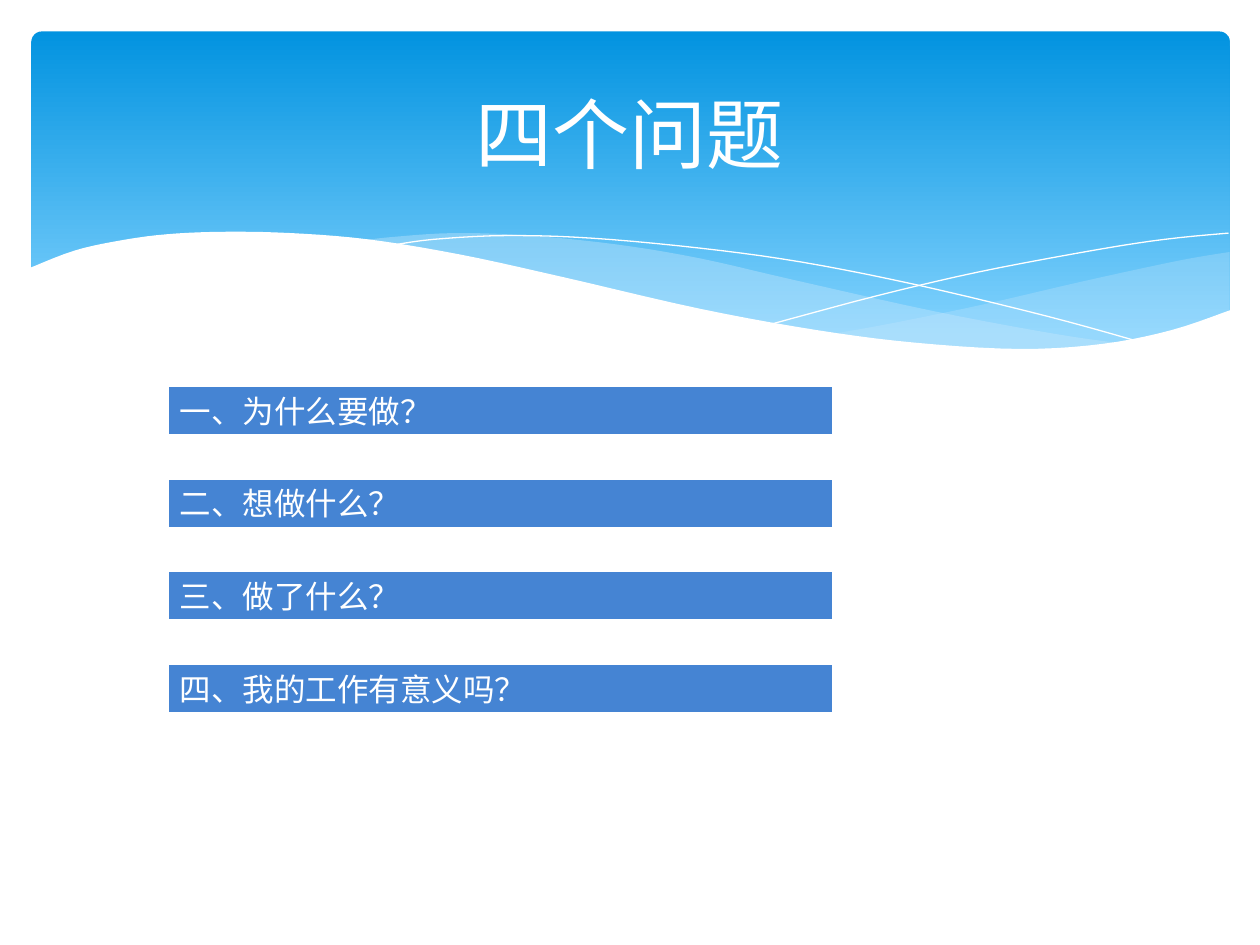
from pptx import Presentation
from pptx.dml.color import RGBColor
from pptx.enum.shapes import MSO_SHAPE as Shape
from pptx.enum.text import MSO_ANCHOR as Anchor, MSO_AUTO_SIZE as Fit, PP_ALIGN as Align
from pptx.oxml.ns import qn
from pptx.util import Inches, Pt
from lxml import etree

WHITE, PALE, BLUE = "FFFFFF", "C6E7FC", "4584D3"
FONT = "Calibri"
ITEMS = ["一、为什么要做？", "二、想做什么？", "三、做了什么？", "四、我的工作有意义吗？"]

# Knots of the wave edges, in inches
CREST = [(9.77, 2.46), (9.3, 2.62), (8.75, 2.73), (8.09, 2.77), (7.26, 2.72),
         (6.48, 2.62), (5.55, 2.45), (4.47, 2.2), (3.65, 2.02), (2.92, 1.9),
         (2.3, 1.85), (1.77, 1.84), (1.32, 1.86), (0.95, 1.91), (0.59, 1.99),
         (0.23, 2.13)]
RIGHT_TOP = [(9.76, 2), (9.35, 2.07), (8.61, 2.23), (7.79, 2.42), (7.06, 2.57), (6.61, 2.65)]
RIGHT_LOW = [(6.61, 2.65), (7.19, 2.72), (7.69, 2.77), (8.14, 2.78), (8.63, 2.75),
             (9.13, 2.67), (9.49, 2.57), (9.76, 2.47)]
MID_TOP = [(8.93, 2.73), (8.37, 2.65), (7.41, 2.47), (6.29, 2.22), (5.55, 2.05),
           (4.89, 1.94), (4.2, 1.87), (3.61, 1.85), (3.13, 1.88), (2.86, 1.91)]
MID_LOW = [(2.86, 1.91), (3.62, 2.03), (4.49, 2.22), (5.66, 2.48), (6.5, 2.64),
           (7.22, 2.74), (7.85, 2.78), (8.38, 2.78), (8.93, 2.73)]
FALLING = [(3.09, 1.95), (3.44, 1.9), (4.01, 1.87), (4.69, 1.89), (5.56, 1.97),
           (6.36, 2.08), (7.27, 2.26), (8.31, 2.51), (9.07, 2.72)]
RISING = [(6.13, 2.57), (6.95, 2.35), (7.76, 2.16), (8.66, 1.99), (9.24, 1.9), (9.75, 1.85)]


def color(code):
    return RGBColor.from_string(code)


def smooth(knots, steps=5):
    """Trace a Catmull-Rom curve through the knots."""
    ends = [knots[0], *knots, knots[-1]]
    curve = [knots[0]]
    for a, b, c, d in zip(ends, ends[1:], ends[2:], ends[3:]):
        for step in range(1, steps + 1):
            t = step / steps
            curve.append(tuple(
                q + t / 2 * (r - p + t * (2 * p - 5 * q + 4 * r - s + t * (3 * (q - r) + s - p)))
                for p, q, r, s in zip(a, b, c, d)))
    return curve


def add_free(slide, points, closed):
    spots = [(Inches(x), Inches(y)) for x, y in points]
    pen = slide.shapes.build_freeform(*spots[0], scale=1.0)
    pen.add_line_segments(spots[1:], close=closed)
    shape = pen.convert_to_shape()
    shape.shadow.inherit = False
    return shape


def add_wave(slide, points, fill, alpha=100):
    wave = add_free(slide, points, True)
    wave.fill.solid()
    wave.fill.fore_color.rgb = color(fill)
    wave.line.fill.background()
    if alpha < 100:
        tone = wave.fill._xPr.find(qn("a:solidFill"))[0]
        etree.SubElement(tone, qn("a:alpha")).set("val", str(alpha * 1000))


def add_curve(slide, knots):
    curve = add_free(slide, smooth(knots), False)
    curve.fill.background()
    curve.line.color.rgb = color(WHITE)
    curve.line.width = Pt(0)


def add_panel(slide):
    panel = slide.shapes.add_shape(
        Shape.ROUNDED_RECTANGLE, Inches(0.25), Inches(0.25), Inches(9.51), Inches(2.7))
    panel.adjustments[0] = 0.03
    panel.shadow.inherit = False
    panel.line.fill.background()
    panel.fill.gradient()
    panel.fill.gradient_angle = 270
    for stop, place, tone in zip(panel.fill.gradient_stops, (0, 0.9), ("0293E0", "83D3FE")):
        stop.position = place
        stop.color.rgb = color(tone)


def set_text(shape, text, size, align, anchor):
    frame = shape.text_frame
    frame.text = text
    frame.word_wrap = True
    frame.vertical_anchor = anchor
    line = frame.paragraphs[0]
    line.alignment = align
    font = line.runs[0].font
    font.name, font.size = FONT, Pt(size)
    font.color.rgb = color(WHITE)


def add_title(slide, text):
    box = slide.shapes.add_textbox(Inches(0.5), Inches(0.37), Inches(9), Inches(1.37))
    set_text(box, text, 44, Align.CENTER, Anchor.MIDDLE)


def add_bar(slide, top, text):
    bar = slide.shapes.add_shape(
        Shape.RECTANGLE, Inches(1.33), Inches(top), Inches(5.29), Inches(0.4))
    bar.shadow.inherit = False
    bar.fill.solid()
    bar.fill.fore_color.rgb = color(BLUE)
    bar.line.color.rgb = color(WHITE)
    bar.line.width = Pt(2)
    set_text(bar, text, 18, Align.LEFT, Anchor.TOP)
    bar.text_frame.auto_size = Fit.SHAPE_TO_FIT_TEXT


def main():
    deck = Presentation()
    deck.slide_width, deck.slide_height = Inches(10), Inches(7.5)
    slide = deck.slides.add_slide(deck.slide_layouts[6])

    # Header panel with its waves
    add_panel(slide)
    add_wave(slide, smooth(RIGHT_TOP) + smooth(RIGHT_LOW), PALE, 29)
    add_wave(slide, smooth(MID_TOP) + smooth(MID_LOW), PALE, 40)
    add_curve(slide, FALLING)
    add_curve(slide, RISING)
    add_wave(slide, smooth(CREST) + [(0.23, 3.29), (9.77, 3.29)], WHITE)

    # Title and the four questions
    add_title(slide, "四个问题")
    for row, text in enumerate(ITEMS):
        add_bar(slide, 3.06 + row * 0.735, text)

    deck.save("out.pptx")


if __name__ == "__main__":
    main()
